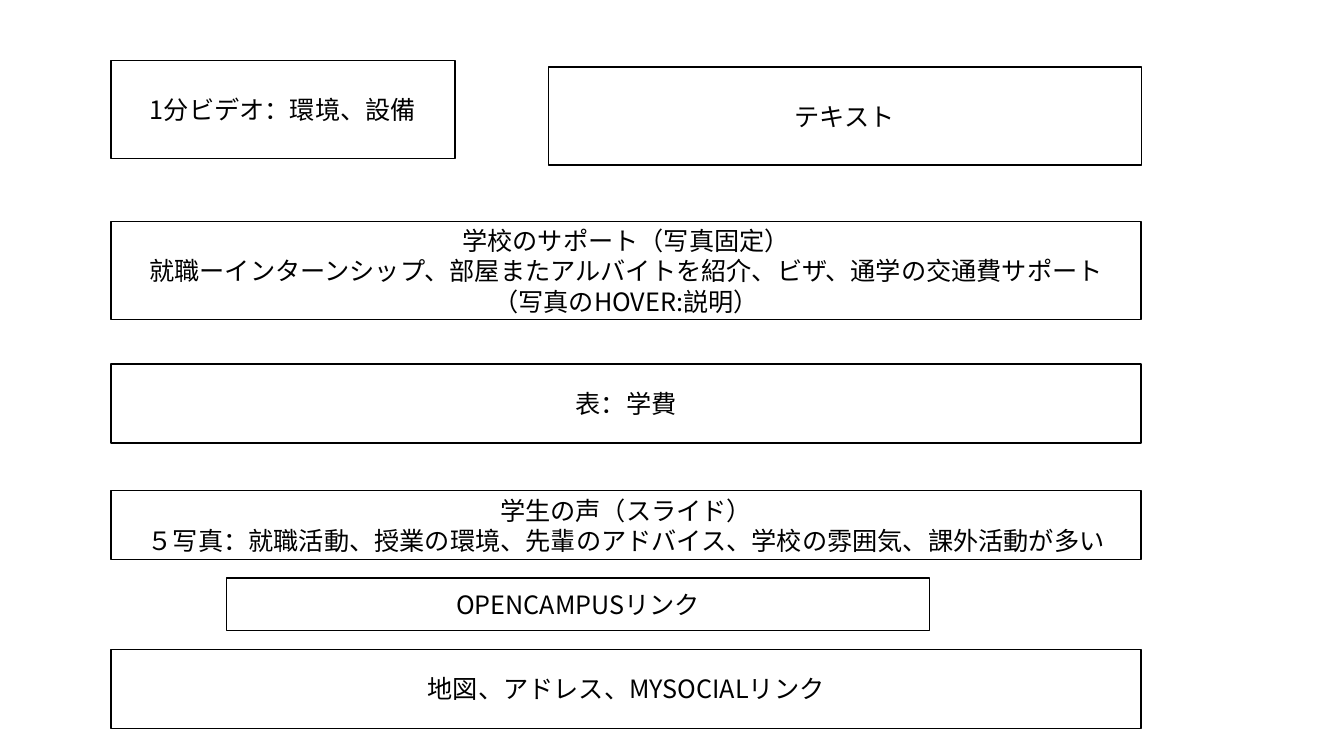
from dataclasses import dataclass

from lxml import etree
from pptx import Presentation
from pptx.dml.color import RGBColor
from pptx.enum import shapes, text
from pptx.oxml.ns import qn
from pptx.util import Pt


@dataclass(frozen=True)
class Theme:
    ink: RGBColor = RGBColor(0, 0, 0)
    paper: RGBColor = RGBColor(255, 255, 255)
    font: str = "Noto Sans CJK JP"
    size: float = 18
    line: float = 1


THEME = Theme()


def write(frame, lines, size=THEME.size, color=THEME.ink, font=THEME.font,
          align=text.PP_ALIGN.CENTER):
    """Write one paragraph per line."""
    frame.word_wrap = True
    frame.vertical_anchor = text.MSO_ANCHOR.MIDDLE
    for i, line in enumerate(lines):
        paragraph = frame.add_paragraph() if i else frame.paragraphs[0]
        paragraph.alignment = align
        run = paragraph.add_run()
        run.text = line
        run.font.size = Pt(size)
        run.font.color.rgb = color
        run.font.name = font
        # Japanese glyphs take the East Asian typeface
        etree.SubElement(run.font._element, qn("a:ea"), typeface=font)


def block(slide, left, top, width, height, *lines):
    """Outlined wireframe block with centred text."""
    frame = slide.shapes.add_shape(shapes.MSO_SHAPE.RECTANGLE, Pt(left), Pt(top),
                                   Pt(width), Pt(height))
    frame.shadow.inherit = False
    frame.fill.solid()
    frame.fill.fore_color.rgb = THEME.paper
    frame.line.color.rgb = THEME.ink
    frame.line.width = Pt(THEME.line)
    write(frame.text_frame, lines)


def intro(slide, left, top, width):
    """Video at the left edge, text at the right edge and slightly lower."""
    height, video_width, text_width, drop = 70, 245.8, 423.6, 4.8
    block(slide, left, top, video_width, height, "1分ビデオ：環境、設備")
    block(slide, left + width - text_width, top + drop, text_width, height, "テキスト")


def sections(slide, left, width):
    """Page sections: top, height, left and right indents, lines."""
    rows = [
        (158.4, 70, 0, 0, ["学校のサポート（写真固定）",
                           "就職ーインターンシップ、部屋またアルバイトを紹介、ビザ、通学の交通費サポート",
                           "（写真のHOVER:説明）"]),
        (260, 56.4, 0, 0, ["表：学費"]),
        (350.4, 49.4, 0, 0, ["学生の声（スライド）",
                             "５写真：就職活動、授業の環境、先輩のアドバイス、学校の雰囲気、課外活動が多い"]),
        (412.8, 37.6, 82.8, 151.2, ["OPENCAMPUSリンク"]),
        (463.9, 56.4, 0, 0, ["地図、アドレス、MYSOCIALリンク"]),
    ]
    for top, height, indent, outdent, lines in rows:
        block(slide, left + indent, top, width - indent - outdent, height, *lines)


def main():
    deck = Presentation()
    deck.slide_width, deck.slide_height = Pt(960), Pt(540)
    slide = deck.slides.add_slide(deck.slide_layouts[6])
    left, width = 79.2, 736
    intro(slide, left, 43.2, width)
    sections(slide, left, width)
    deck.save("out.pptx")


main()
